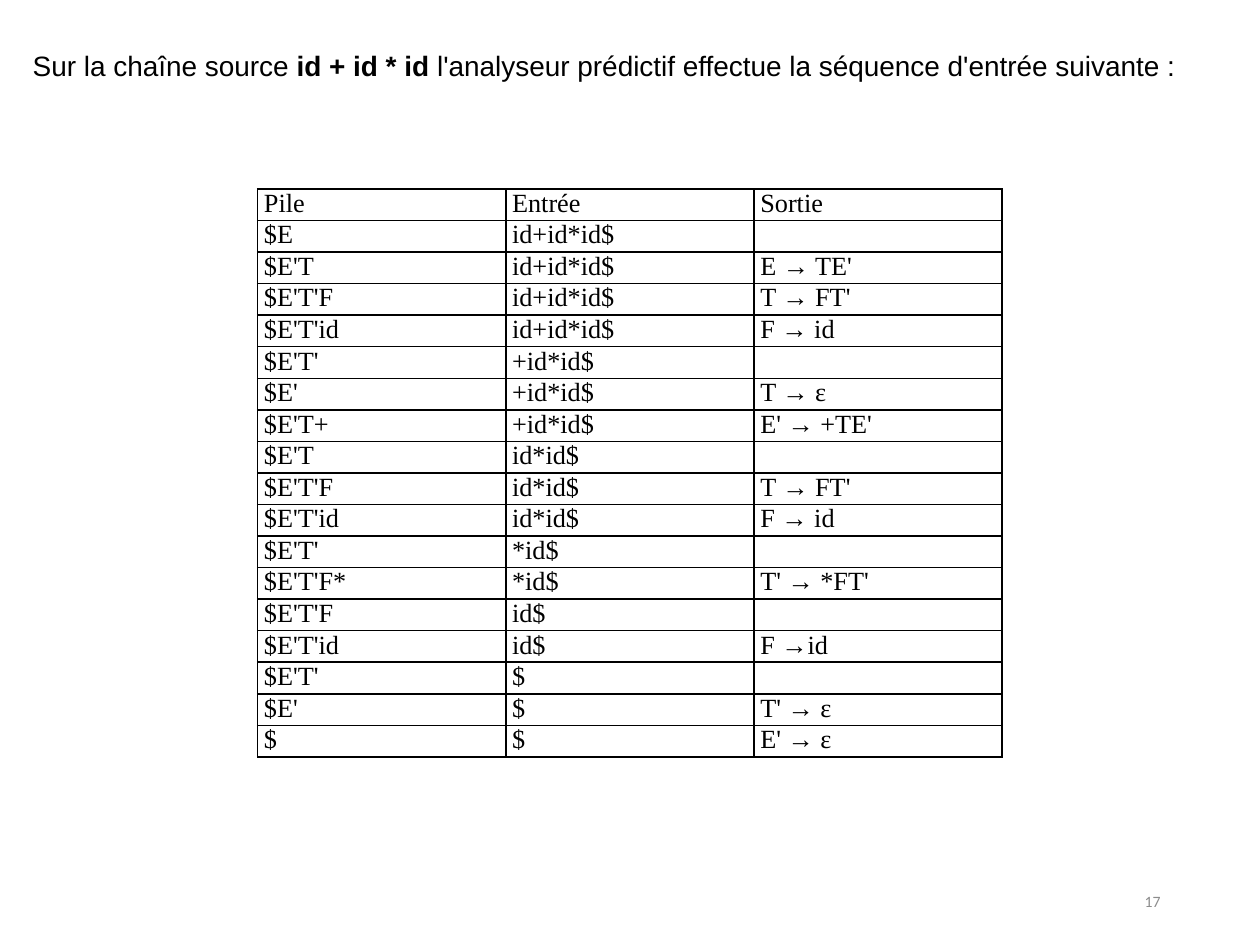
"""Build the slide tracing a predictive parser on id + id * id."""
from lxml import etree
from pptx import Presentation
from pptx import util as u
from pptx.dml.color import RGBColor
from pptx.enum import text
from pptx.oxml.ns import qn

SENTENCE = [
    ("Sur la chaîne source ", False),
    ("id + id * id", True),
    (" l'analyseur prédictif effectue la séquence d'entrée suivante :", False),
]
TRACE = [
    ("Pile", "Entrée", "Sortie"),
    ("$E", "id+id*id$", ""),
    ("$E'T", "id+id*id$", "E → TE'"),
    ("$E'T'F", "id+id*id$", "T → FT'"),
    ("$E'T'id", "id+id*id$", "F → id"),
    ("$E'T'", "+id*id$", ""),
    ("$E'", "+id*id$", "T → ε"),
    ("$E'T+", "+id*id$", "E' → +TE'"),
    ("$E'T", "id*id$", ""),
    ("$E'T'F", "id*id$", "T → FT'"),
    ("$E'T'id", "id*id$", "F → id"),
    ("$E'T'", "*id$", ""),
    ("$E'T'F*", "*id$", "T' → *FT'"),
    ("$E'T'F", "id$", ""),
    ("$E'T'id", "id$", "F →id"),
    ("$E'T'", "$", ""),
    ("$E'", "$", "T' → ε"),
    ("$", "$", "E' → ε"),
]
PAGE = "17"
THEME = {
    "sentence": ("Arial", 16, "000000"),
    "trace": ("Times New Roman", 15, "000000"),
    "page": ("Calibri", 9, "8C8C8C"),
    "border": ("000000", 1),
}
SLIDE_WIDTH, SLIDE_HEIGHT = 10, 7.5
COLUMN_WIDTH, ROW_HEIGHT, TRACE_TOP = 1.97, 0.25, 1.5


def style(run, role, bold=False):
    """Apply a theme role to a run."""
    face, size, color = THEME[role]
    run.font.name, run.font.size, run.font.bold = face, u.Pt(size), bold
    run.font.color.rgb = RGBColor.from_string(color)


def place(shape, left, top, width, height):
    """Position a shape in inches."""
    shape.left, shape.top = u.Inches(left), u.Inches(top)
    shape.width, shape.height = u.Inches(width), u.Inches(height)


def outline(cell):
    """Draw all four borders of a cell."""
    color, width = THEME["border"]
    properties = cell._tc.get_or_add_tcPr()
    for position, side in enumerate(("lnL", "lnR", "lnT", "lnB")):
        line = etree.Element(qn(f"a:{side}"), w=str(u.Pt(width)))
        fill = etree.SubElement(line, qn("a:solidFill"))
        etree.SubElement(fill, qn("a:srgbClr"), val=color)
        properties.insert(position, line)


def fill_cell(cell, content):
    """Write and format one cell of the trace."""
    cell.margin_left = cell.margin_right = u.Inches(0.05)
    cell.margin_top = cell.margin_bottom = 0
    cell.fill.background()
    outline(cell)
    paragraph = cell.text_frame.paragraphs[0]
    if content:
        paragraph.text = content
        style(paragraph.runs[0], "trace")
    else:
        size = THEME["trace"][1] * 100
        etree.SubElement(paragraph._p, qn("a:endParaRPr"), sz=str(size))


def add_sentence(slide):
    """Put the introductory sentence in the title."""
    sentence = slide.shapes.title
    place(sentence, 0.16, 0.31, 9.69, 0.42)
    frame = sentence.text_frame
    frame.word_wrap = True
    frame.auto_size = text.MSO_AUTO_SIZE.NONE
    frame.vertical_anchor = text.MSO_ANCHOR.MIDDLE
    paragraph = frame.paragraphs[0]
    paragraph.alignment = text.PP_ALIGN.LEFT
    for words, bold in SENTENCE:
        run = paragraph.add_run()
        run.text = words
        style(run, "sentence", bold)


def add_trace(slide):
    """Add the table of parser moves, centred across the slide."""
    width = COLUMN_WIDTH * len(TRACE[0])
    trace = slide.shapes.add_table(
        len(TRACE), len(TRACE[0]),
        u.Inches((SLIDE_WIDTH - width) / 2), u.Inches(TRACE_TOP),
        u.Inches(width), u.Inches(ROW_HEIGHT * len(TRACE)),
    ).table
    trace.first_row = trace.horz_banding = False
    for row, move in enumerate(TRACE):
        for column, content in enumerate(move):
            fill_cell(trace.cell(row, column), content)


def add_page(slide):
    """Add the page number at the lower right."""
    page = slide.shapes.add_textbox(0, 0, 0, 0)
    place(page, 7.06, 6.95, 2.25, 0.4)
    frame = page.text_frame
    frame.word_wrap = True
    frame.vertical_anchor = text.MSO_ANCHOR.MIDDLE
    frame.text = PAGE
    frame.paragraphs[0].alignment = text.PP_ALIGN.RIGHT
    style(frame.paragraphs[0].runs[0], "page")


def main():
    """Assemble and save the slide."""
    deck = Presentation()
    deck.slide_width = u.Inches(SLIDE_WIDTH)
    deck.slide_height = u.Inches(SLIDE_HEIGHT)
    slide = deck.slides.add_slide(deck.slide_layouts.get_by_name("Title Only"))
    add_page(slide)
    add_trace(slide)
    add_sentence(slide)
    deck.save("out.pptx")


if __name__ == "__main__":
    main()
